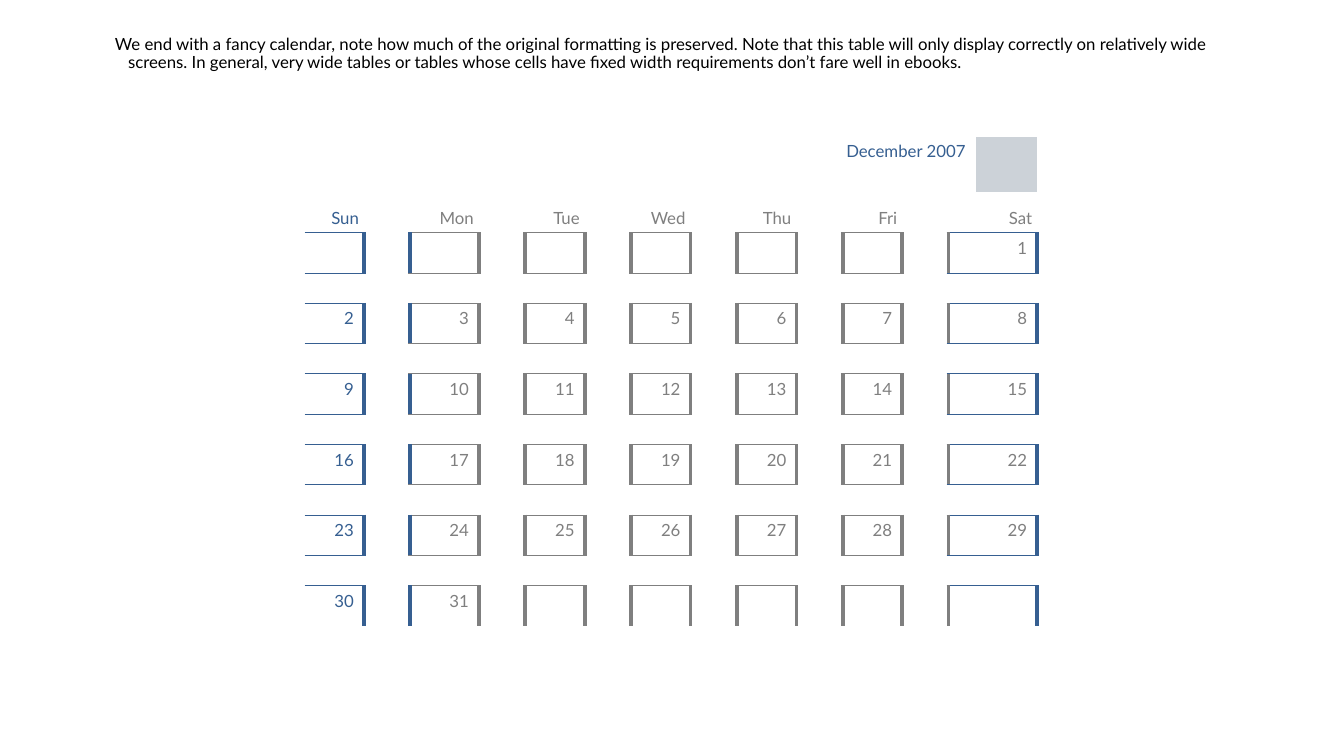
from lxml.etree import SubElement
from pptx import Presentation
from pptx.dml.color import RGBColor
from pptx.enum.text import MSO_ANCHOR, PP_ALIGN
from pptx.oxml.ns import qn
from pptx.util import Inches, Pt

# Content
INTRO = ("We end with a fancy calendar, note how much of the original formatting is preserved. "
         "Note that this table will only display correctly on relatively wide screens. "
         "In general, very wide tables or tables whose cells have fixed width requirements "
         "don’t fare well in ebooks.")
MONTH = "December 2007"
WEEKDAYS = ["Sun", "Mon", "Tue", "Wed", "Thu", "Fri", "Sat"]
BLANKS_BEFORE_FIRST, DAYS_IN_MONTH, WEEKS = 6, 31, 6

# Style
FONT, SIZE = "Lato", Pt(12)
BLACK = RGBColor(0x00, 0x00, 0x00)
WHITE = RGBColor(0xFF, 0xFF, 0xFF)
BLUE = RGBColor(0x36, 0x5F, 0x91)
GRAY = RGBColor(0x7F, 0x7F, 0x7F)
PALE = RGBColor(0xCC, 0xD2, 0xD8)
THIN, THICK = 0.75, 3
NO_STYLE = "{2D5ABB26-0587-4C30-8999-92F81FD0307C}"

# Grid: day columns alternate with gaps, day rows alternate with gaps
COL_WIDTHS = [0.59, 0.46, 0.68, 0.46] + [0.59, 0.46] * 4 + [0.27, 0.61]
ROW_HEIGHTS = [0.56, 0.4] + [0.4, 0.3] * (WEEKS - 1) + [0.4]
SAT_COL = 12


def style_run(p, color):
    f = p.runs[0].font
    f.name, f.size, f.color.rgb = FONT, SIZE, color


def write(cell, text, color, right_margin):
    p = cell.text_frame.paragraphs[0]
    p.text = text
    p.alignment, p.line_spacing = PP_ALIGN.RIGHT, Pt(14.3)
    style_run(p, color)
    cell.margin_left, cell.margin_right = Inches(0.02), Inches(right_margin)


def set_borders(cell, **sides):
    """Give each side (L, R, T, B) as (color, points)."""
    tc_pr = cell._tc.get_or_add_tcPr()
    for i, side in enumerate(s for s in "LRTB" if s in sides):
        color, points = sides[side]
        ln = SubElement(tc_pr, qn("a:ln" + side), w=str(Pt(points)))
        SubElement(SubElement(ln, qn("a:solidFill")), qn("a:srgbClr"), val=str(color))
        tc_pr.insert(i, ln)


prs = Presentation()
prs.slide_width, prs.slide_height = Inches(13.33), Inches(7.5)
s = prs.slides.add_slide(prs.slide_layouts[1])
title = s.shapes.title._element
title.getparent().remove(title)

# Introductory paragraph
body = s.placeholders[1]
body.left, body.top, body.width, body.height = map(Inches, (0.92, 0.31, 11.5, 6.45))
p = body.text_frame.paragraphs[0]
p.text = INTRO
p.line_spacing, p.space_before = 0.9, Pt(0)
p_pr = p._p.get_or_add_pPr()
p_pr.set("marL", str(Inches(0.25)))
p_pr.set("indent", str(Inches(-0.13)))
SubElement(p_pr, qn("a:buNone"))
style_run(p, BLACK)

# Calendar table
frame = s.shapes.add_table(len(ROW_HEIGHTS), len(COL_WIDTHS), Inches(3.02), Inches(1.35),
                           Inches(sum(COL_WIDTHS)), Inches(sum(ROW_HEIGHTS)))
table = frame.table
table.first_row = table.horz_banding = False
table._tbl.tblPr.find(qn("a:tableStyleId")).text = NO_STYLE
for column, width in zip(table.columns, COL_WIDTHS):
    column.width = Inches(width)
for row, height in zip(table.rows, ROW_HEIGHTS):
    row.height = Inches(height)
for cell in table.iter_cells():
    cell.fill.background()
    # Small empty paragraphs keep the gap rows low
    cell.text_frame.paragraphs[0]._p.get_or_add_endParaRPr().set("sz", "800")

# Month heading and tinted corner
table.cell(0, 0).merge(table.cell(0, SAT_COL))
write(table.cell(0, 0), MONTH, BLUE, 0.1)
corner = table.cell(0, SAT_COL + 1)
corner.fill.solid()
corner.fill.fore_color.rgb = PALE
set_borders(corner, T=(WHITE, 0.96), B=(WHITE, 0.96))

# Saturday spans the last two columns
for r in range(1, len(ROW_HEIGHTS)):
    table.cell(r, SAT_COL).merge(table.cell(r, SAT_COL + 1))

# Weekday headings and days
for d, weekday in enumerate(WEEKDAYS):
    col = 2 * d
    line_color = BLUE if weekday in ("Sun", "Sat") else GRAY
    text_color = BLUE if weekday == "Sun" else GRAY
    heading = table.cell(1, col)
    heading.vertical_anchor = MSO_ANCHOR.BOTTOM
    write(heading, weekday, text_color, 0.05)
    for week in range(WEEKS):
        row = 2 + 2 * week
        cell = table.cell(row, col)
        day = 7 * week + d + 1 - BLANKS_BEFORE_FIRST
        if 1 <= day <= DAYS_IN_MONTH:
            write(cell, str(day), text_color, 0.1)
        set_borders(cell, T=(line_color, THIN), R=(line_color, THICK))
        set_borders(table.cell(row - 1, col), B=(line_color, THIN))
        if col < SAT_COL:
            set_borders(table.cell(row, col + 1), L=(line_color, THICK))

prs.save("out.pptx")
